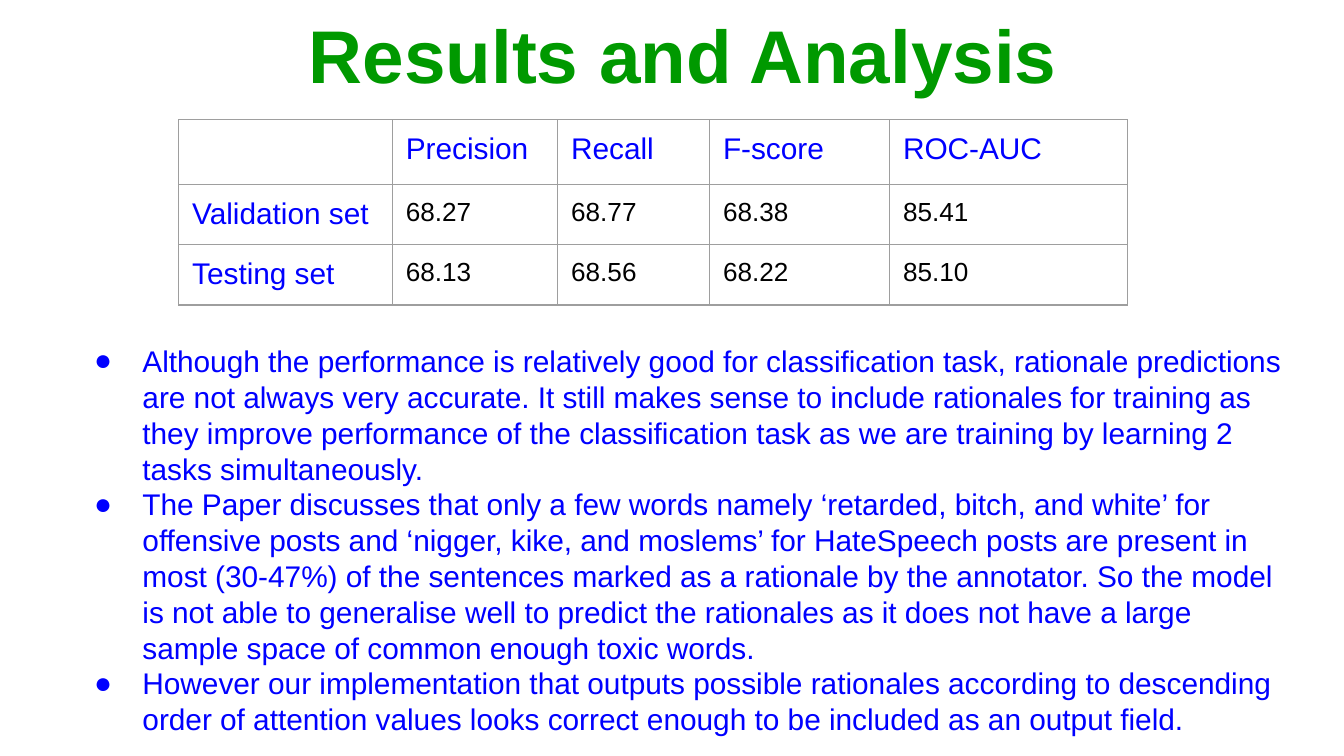
from lxml import etree
from pptx import Presentation
from pptx.dml.color import RGBColor
from pptx.enum.text import MSO_ANCHOR, MSO_AUTO_SIZE, PP_ALIGN
from pptx.oxml import parse_xml
from pptx.oxml.ns import nsdecls, qn
from pptx.util import Inches, Pt

COLORS = {"title": "009900", "text": "0000FF", "value": "000000", "border": "9E9E9E"}

RESULTS = [
    ["", "Precision", "Recall", "F-score", "ROC-AUC"],
    ["Validation set", "68.27", "68.77", "68.38", "85.41"],
    ["Testing set", "68.13", "68.56", "68.22", "85.10"],
]
COLUMN_WIDTHS = [1.59, 1.23, 1.13, 1.34, 1.77]
ROW_HEIGHTS = [0.48, 0.45, 0.45]

FINDINGS = [
    "Although the performance is relatively good for classification task, rationale "
    "predictions are not always very accurate. It still makes sense to include rationales "
    "for training as they improve performance of the classification task as we are training "
    "by learning 2 tasks simultaneously.",
    "The Paper discusses that only a few words namely ‘retarded, bitch, and white’ for "
    "offensive posts and ‘nigger, kike, and moslems’ for HateSpeech posts are present in "
    "most (30-47%) of the sentences marked as a rationale by the annotator. So the model is "
    "not able to generalise well to predict the rationales as it does not have a large "
    "sample space of common enough toxic words.",
    "However our implementation that outputs possible rationales according to descending "
    "order of attention values looks correct enough to be included as an output field.",
]


class SlideBuilder:
    """Holds the style and the current slide."""

    font_name = "Arial"

    def __init__(self, slide):
        self.slide = slide

    def style(self, paragraph, size, color, bold=False):
        for run in paragraph.runs:
            run.font.name = self.font_name
            run.font.size = Pt(size)
            run.font.bold = bold
            run.font.color.rgb = RGBColor.from_string(COLORS[color])

    def place(self, shape, left, top, width, height):
        shape.left, shape.top = Inches(left), Inches(top)
        shape.width, shape.height = Inches(width), Inches(height)

    def title(self, text, *box):
        shape = self.slide.shapes.title
        self.place(shape, *box)
        text_frame = shape.text_frame
        text_frame.text = text
        text_frame.vertical_anchor = MSO_ANCHOR.MIDDLE
        text_frame.auto_size = MSO_AUTO_SIZE.NONE
        paragraph = text_frame.paragraphs[0]
        paragraph.alignment = PP_ALIGN.CENTER
        self.style(paragraph, 40, "title", bold=True)

    def table(self, rows, left, top, widths, heights):
        frame = self.slide.shapes.add_table(
            len(rows), len(widths), Inches(left), Inches(top),
            Inches(sum(widths)), Inches(sum(heights)))
        table = frame.table
        for column, width in zip(table.columns, widths):
            column.width = Inches(width)
        for row, height in zip(table.rows, heights):
            row.height = Inches(height)
        for i, texts in enumerate(rows):
            for j, text in enumerate(texts):
                self.cell(table.cell(i, j), text, is_label=i == 0 or j == 0)

    def cell(self, cell, text, is_label):
        cell.margin_left = cell.margin_right = Inches(0.1)
        cell.margin_top = cell.margin_bottom = Inches(0.1)
        paragraph = cell.text_frame.paragraphs[0]
        if not text:
            # Keep the empty cell from stretching its row
            etree.SubElement(paragraph._p, qn("a:endParaRPr"), sz="1400")
        else:
            paragraph.text = text
            if is_label:
                paragraph.space_before = Pt(4.8)
                self.style(paragraph, 16, "text")
            else:
                self.style(paragraph, 14, "value")
        # Borders come before the fill in the cell properties
        properties = cell._tc.get_or_add_tcPr()
        for side in ("lnL", "lnR", "lnT", "lnB"):
            properties.append(parse_xml(
                f'<a:{side} {nsdecls("a")} w="{Pt(0.75)}"><a:solidFill>'
                f'<a:srgbClr val="{COLORS["border"]}"/></a:solidFill></a:{side}>'))
        cell.fill.background()

    def bullets(self, texts, *box):
        shape = self.slide.placeholders[1]
        self.place(shape, *box)
        text_frame = shape.text_frame
        text_frame.text = "\n".join(texts)
        text_frame.auto_size = MSO_AUTO_SIZE.NONE
        text_frame.margin_left = text_frame.margin_right = Inches(0.1)
        text_frame.margin_top = text_frame.margin_bottom = Inches(0.1)
        for paragraph in text_frame.paragraphs:
            paragraph.space_before = Pt(0)
            self.style(paragraph, 16, "text")
            properties = paragraph._p.get_or_add_pPr()
            properties.set("marL", str(Inches(0.5)))
            properties.set("indent", str(Inches(-0.36)))
            color = etree.SubElement(properties, qn("a:buClr"))
            etree.SubElement(color, qn("a:srgbClr"), val=COLORS["text"])
            etree.SubElement(properties, qn("a:buFont"), typeface=self.font_name)
            etree.SubElement(properties, qn("a:buChar"), char="●")


def main():
    presentation = Presentation()
    presentation.slide_width = Inches(10)
    presentation.slide_height = Inches(10 * 9 / 16)
    slide = presentation.slides.add_slide(presentation.slide_layouts[1])
    builder = SlideBuilder(slide)

    # Heading
    builder.title("Results and Analysis", 0.33, 0.04, 9.5, 0.72)
    # Scores
    builder.table(RESULTS, 1.33, 0.89, COLUMN_WIDTHS, ROW_HEIGHTS)
    # Discussion
    builder.bullets(FINDINGS, 0.46, 2.45, 9.19, 3.16)

    presentation.save("out.pptx")


if __name__ == "__main__":
    main()
